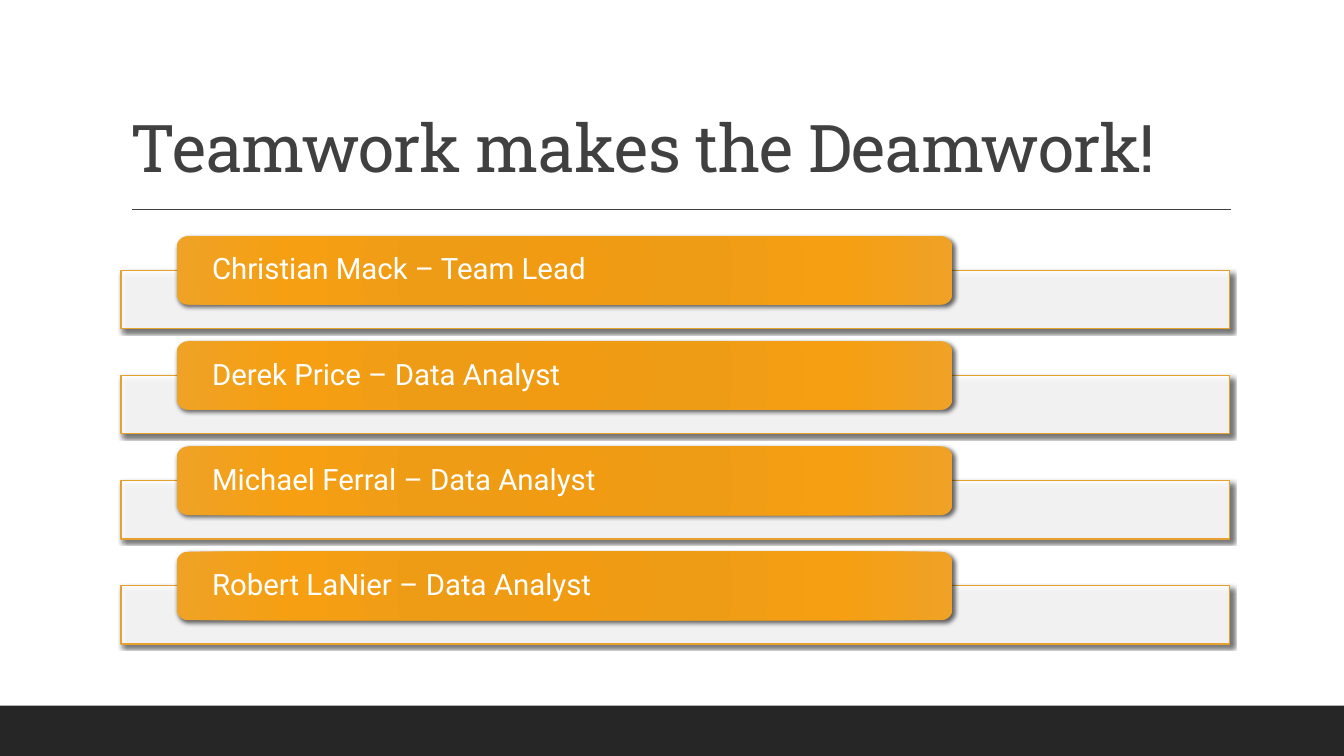
from dataclasses import dataclass

from lxml import etree
from pptx import Presentation
from pptx.dml.color import RGBColor
from pptx.enum.shapes import MSO_CONNECTOR, MSO_SHAPE
from pptx.enum.text import MSO_ANCHOR, PP_ALIGN
from pptx.oxml import parse_xml
from pptx.oxml.ns import nsdecls, qn
from pptx.util import Cm, Pt

RECTANGLE = MSO_SHAPE.RECTANGLE
ROUNDED = MSO_SHAPE.ROUNDED_RECTANGLE
STRAIGHT = MSO_CONNECTOR.STRAIGHT
BOTTOM, MIDDLE = MSO_ANCHOR.BOTTOM, MSO_ANCHOR.MIDDLE
LEFT = PP_ALIGN.LEFT


@dataclass(frozen=True)
class Theme:
    ink: str = "404040"
    footer: str = "262626"
    white: str = "FFFFFF"
    border: str = "E6A02E"
    shadow: str = "000000"
    glow: tuple = ((0, "F09B11"), (34, "EE9C16"), (70, "F69F12"), (100, "EFA225"))
    title_font: str = "Roboto Slab"
    body_font: str = "Roboto"
    title_size: float = 47
    body_size: float = 21


THEME = Theme()
MEMBERS = [
    "Christian Mack – Team Lead",
    "Derek Price – Data Analyst",
    "Michael Ferral – Data Analyst",
    "Robert LaNier – Data Analyst",
]


def color(value):
    return RGBColor.from_string(value)


def add_block(slide, kind, left, top, width, height, fill):
    block = slide.shapes.add_shape(kind, left, top, width, height)
    block.shadow.inherit = False
    block.fill.solid()
    block.fill.fore_color.rgb = color(fill)
    block.line.fill.background()
    return block


def cast_shadow(block, blur):
    effects = block._element.spPr.find(qn("a:effectLst"))
    effects.append(parse_xml(
        f'<a:outerShdw {nsdecls("a")} blurRad="{Pt(blur)}" dist="{Pt(2)}" '
        f'dir="2700000" algn="br" rotWithShape="0"><a:srgbClr val="{THEME.shadow}">'
        '<a:alpha val="60000"/></a:srgbClr></a:outerShdw>'))


def fill_with_glow(block):
    stops = "".join(f'<a:gs pos="{position * 1000}"><a:srgbClr val="{value}"/></a:gs>'
                    for position, value in THEME.glow)
    gradient = parse_xml(
        f'<a:gradFill {nsdecls("a")} rotWithShape="1"><a:gsLst>{stops}</a:gsLst>'
        '<a:path path="circle"><a:fillToRect l="100000" t="100000" r="100000" '
        'b="100000"/></a:path></a:gradFill>')
    properties = block._element.spPr
    properties.replace(properties.find(qn("a:solidFill")), gradient)


def write(frame, text, font, size, ink, anchor):
    frame.word_wrap = True
    frame.vertical_anchor = anchor
    paragraph = frame.paragraphs[0]
    paragraph.text = text
    paragraph.alignment = LEFT
    paragraph.line_spacing = 0.9
    paragraph.font.name = font
    paragraph.font.size = Pt(size)
    paragraph.font.color.rgb = color(ink)
    return paragraph


def add_header(slide, left, top, width, height):
    # Heading
    heading = slide.shapes.add_textbox(left, top, width, height)
    paragraph = write(heading.text_frame, "Teamwork makes the Deamwork!",
                      THEME.title_font, THEME.title_size, THEME.ink, BOTTOM)
    paragraph.runs[0]._r.get_or_add_rPr().set("spc", "-50")

    # Rule below the heading
    rule_y = top + height + Cm(0.45)
    rule = slide.shapes.add_connector(
        STRAIGHT, left + Cm(0.28), rule_y, left + width + Cm(0.03), rule_y)
    rule.line.color.rgb = color(THEME.ink)
    rule.line.width = Pt(1)
    etree.SubElement(rule._element.spPr, qn("a:effectLst"))


def add_member(slide, member, left, top, width):
    # Translucent panel
    panel = add_block(slide, RECTANGLE, left, top + Cm(0.86), width, Cm(1.47), THEME.white)
    panel.line.color.rgb = color(THEME.border)
    panel.line.width = Pt(1)
    panel_color = panel._element.spPr.find(qn("a:solidFill"))[0]
    etree.SubElement(panel_color, qn("a:alpha")).set("val", "90000")
    cast_shadow(panel, 3)

    # Name tab
    tab = add_block(slide, ROUNDED, left + Cm(1.4), top, int(width * 0.7), Cm(1.73),
                    THEME.border)
    fill_with_glow(tab)
    cast_shadow(tab, 3.5)
    frame = tab.text_frame
    frame.margin_left = frame.margin_right = Cm(0.81)
    frame.margin_top = frame.margin_bottom = 0
    write(frame, member, THEME.body_font, THEME.body_size, THEME.white, MIDDLE)


def add_team(slide, left, top, width, height):
    pitch = height // len(MEMBERS)
    for row, member in enumerate(MEMBERS):
        add_member(slide, member, left, top + row * pitch, width)


def main():
    deck = Presentation()
    deck.slide_width, deck.slide_height = Cm(33.87), Cm(19.05)
    slide = deck.slides.add_slide(deck.slide_layouts[6])

    # Footer band
    band = Cm(1.27)
    add_block(slide, RECTANGLE, 0, deck.slide_height - band, deck.slide_width, band,
              THEME.footer)

    left, width = Cm(3.05), Cm(27.94)
    add_header(slide, left, Cm(0.79), width, Cm(4.04))
    add_team(slide, left, Cm(5.95), width, Cm(10.6))
    deck.save("out.pptx")


if __name__ == "__main__":
    main()
